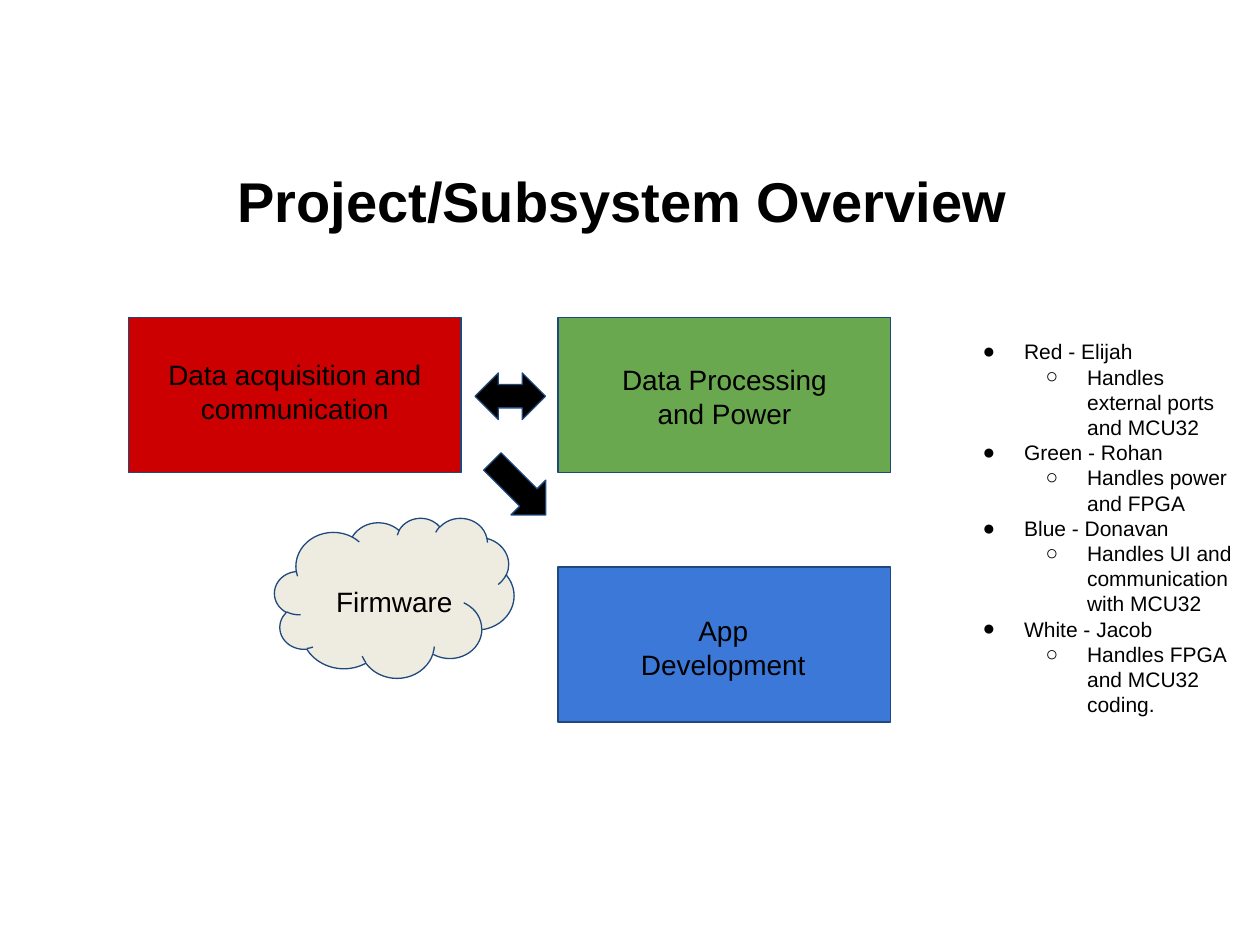
from dataclasses import dataclass

import pptx
import pptx.dml.color
import pptx.enum.shapes
import pptx.enum.text
import pptx.oxml
import pptx.oxml.ns
import pptx.slide
import pptx.text.text
import pptx.util

Inches = pptx.util.Inches
ShapeType = pptx.enum.shapes.MSO_SHAPE
Alignment = pptx.enum.text.PP_ALIGN


@dataclass(frozen=True)
class Theme:
    font: str = "Arial"
    text: str = "000000"
    outline: str = "1F497D"
    red: str = "CC0000"
    green: str = "6AA84F"
    blue: str = "3C78D8"
    cloud: str = "EEECE1"
    arrow: str = "000000"
    title_size: int = 32
    label_size: int = 16
    list_size: int = 12
    outline_width: float = 0.75


@dataclass(frozen=True)
class Box:
    left: float
    top: float
    width: float
    height: float

    def lengths(self) -> tuple[pptx.util.Length, ...]:
        return tuple(Inches(v) for v in (self.left, self.top, self.width, self.height))


@dataclass(frozen=True)
class Figure:
    kind: ShapeType
    box: Box
    fill: str
    rotation: float = 0


@dataclass(frozen=True)
class Label:
    text: str
    box: Box


@dataclass(frozen=True)
class Member:
    heading: str
    task: str


THEME = Theme()

LEFT_COLUMN, RIGHT_COLUMN = 1.02, 4.43
TOP_ROW, BOTTOM_ROW = 2.52, 4.5
BLOCK_SIZE = (2.64, 1.23)

FIGURES = [
    Figure(ShapeType.RECTANGLE, Box(LEFT_COLUMN, TOP_ROW, *BLOCK_SIZE), THEME.red),
    Figure(ShapeType.RECTANGLE, Box(RIGHT_COLUMN, TOP_ROW, *BLOCK_SIZE), THEME.green),
    Figure(ShapeType.RECTANGLE, Box(RIGHT_COLUMN, BOTTOM_ROW, *BLOCK_SIZE), THEME.blue),
    Figure(ShapeType.CLOUD, Box(2.18, 4.11, 1.9, 1.27), THEME.cloud),
    Figure(ShapeType.LEFT_RIGHT_ARROW, Box(3.77, 2.96, 0.56, 0.37), THEME.arrow),
    Figure(ShapeType.RIGHT_ARROW, Box(3.82, 3.68, 0.6, 0.39), THEME.arrow, 45),
]

LABELS = [
    Label("Data acquisition and communication", Box(1.1, 2.74, 2.48, 0.74)),
    Label("Data Processing and Power", Box(4.8, 2.78, 1.9, 0.66)),
    Label("App Development", Box(4.79, 4.77, 1.9, 0.7)),
    Label("Firmware", Box(2.52, 4.54, 1.22, 0.41)),
]

MEMBERS = [
    Member("Red - Elijah", "Handles external ports and MCU32"),
    Member("Green - Rohan", "Handles power and FPGA"),
    Member("Blue - Donavan", "Handles UI and communication with MCU32"),
    Member("White - Jacob", "Handles FPGA and MCU32 coding."),
]
MEMBERS_BOX = Box(7.53, 2.59, 2.43, 3.23)
BULLETS = ("●", "○")


def color(value: str) -> pptx.dml.color.RGBColor:
    return pptx.dml.color.RGBColor.from_string(value)


def format_runs(paragraph: pptx.text.text._Paragraph, size: int, bold: bool = False) -> None:
    for run in paragraph.runs:
        run.font.name = THEME.font
        run.font.size = pptx.util.Pt(size)
        run.font.bold = bold
        run.font.color.rgb = color(THEME.text)


def set_title(slide: pptx.slide.Slide, text: str, box: Box) -> None:
    title = slide.shapes.title
    title.left, title.top, title.width, title.height = box.lengths()
    title.text_frame.text = text
    title.text_frame.vertical_anchor = pptx.enum.text.MSO_ANCHOR.MIDDLE
    paragraph = title.text_frame.paragraphs[0]
    paragraph.alignment = Alignment.CENTER
    format_runs(paragraph, THEME.title_size, bold=True)


def add_figure(slide: pptx.slide.Slide, figure: Figure) -> None:
    shape = slide.shapes.add_shape(figure.kind, *figure.box.lengths())
    shape.shadow.inherit = False
    shape.rotation = figure.rotation
    shape.fill.solid()
    shape.fill.fore_color.rgb = color(figure.fill)
    shape.line.color.rgb = color(THEME.outline)
    shape.line.width = pptx.util.Pt(THEME.outline_width)


def add_text_box(slide: pptx.slide.Slide, box: Box) -> pptx.text.text.TextFrame:
    text_frame = slide.shapes.add_textbox(*box.lengths()).text_frame
    text_frame.word_wrap = True
    text_frame.margin_left = text_frame.margin_right = Inches(0.1)
    text_frame.margin_top = text_frame.margin_bottom = Inches(0.1)
    return text_frame


def add_label(slide: pptx.slide.Slide, label: Label) -> None:
    text_frame = add_text_box(slide, label.box)
    text_frame.text = label.text
    paragraph = text_frame.paragraphs[0]
    paragraph.alignment = Alignment.CENTER
    format_runs(paragraph, THEME.label_size)


def set_bullet(paragraph: pptx.text.text._Paragraph, level: int) -> None:
    """Give the paragraph its level's bullet and a hanging indent."""
    paragraph.level = level
    properties = paragraph._p.get_or_add_pPr()
    properties.set("marL", str(Inches(0.5 * (level + 1))))
    properties.set("indent", str(Inches(-0.33)))
    namespace = pptx.oxml.ns.nsdecls("a")
    for xml in (
        f'<a:buClr {namespace}><a:srgbClr val="{THEME.text}"/></a:buClr>',
        f'<a:buFont {namespace} typeface="{THEME.font}"/>',
        f'<a:buChar {namespace} char="{BULLETS[level]}"/>',
    ):
        properties.append(pptx.oxml.parse_xml(xml))


def add_members(slide: pptx.slide.Slide, members: list[Member], box: Box) -> None:
    text_frame = add_text_box(slide, box)
    lines = [line for member in members for line in (member.heading, member.task)]
    text_frame.text = "\n".join(lines)
    for index, paragraph in enumerate(text_frame.paragraphs):
        set_bullet(paragraph, index % 2)
        format_runs(paragraph, THEME.list_size)


def main() -> None:
    presentation = pptx.Presentation()
    presentation.slide_width, presentation.slide_height = Inches(10), Inches(7.5)
    slide = presentation.slides.add_slide(presentation.slide_layouts.get_by_name("Title Only"))
    set_title(slide, "Project/Subsystem Overview ", Box(0.5, 1.15, 9, 0.88))
    for figure in FIGURES:
        add_figure(slide, figure)
    for label in LABELS:
        add_label(slide, label)
    add_members(slide, MEMBERS, MEMBERS_BOX)
    presentation.save("out.pptx")


if __name__ == "__main__":
    main()
